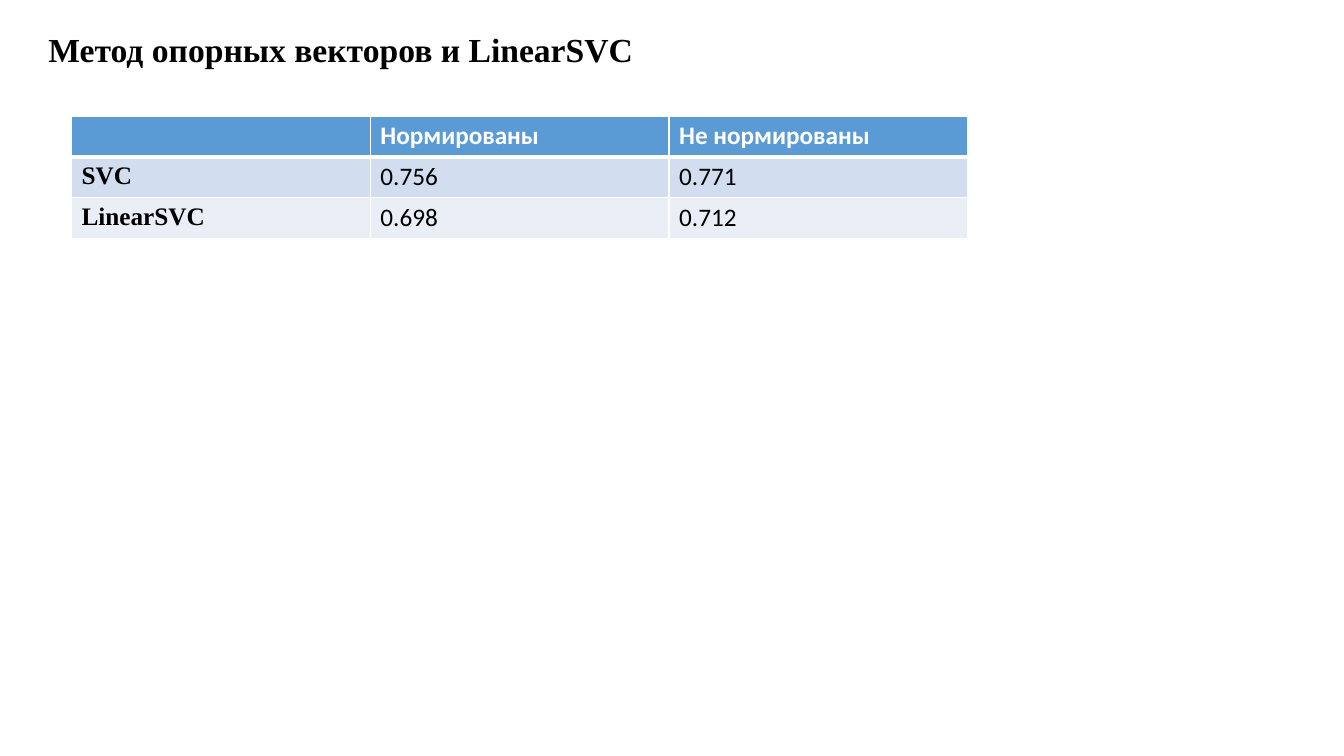
from lxml.etree import SubElement
from pptx import Presentation
from pptx.dml.color import RGBColor
from pptx.enum.text import MSO_ANCHOR, PP_ALIGN
from pptx.oxml.ns import qn
from pptx.util import Inches, Pt

SERIF, SANS = "Times New Roman", "Calibri"
ROW_FILLS = ["5B9BD5", "D2DEEF", "EAEFF7"]
SCORES = [
    ["", "Нормированы", "Не нормированы"],
    ["SVC", "0.756", "0.771"],
    ["LinearSVC", "0.698", "0.712"],
]


def color(value):
    """Turn a hex string into a colour."""
    return RGBColor.from_string(value)


def add_span(para, text, size, font, ink, bold):
    """Add one formatted run to a paragraph."""
    span = para.add_run()
    span.text = text
    span.font.size = Pt(size)
    span.font.name = font
    span.font.bold = bold
    span.font.color.rgb = color(ink)


def add_borders(cell, top, bottom):
    """Draw white borders; top and bottom widths are in points."""
    properties = cell._tc.get_or_add_tcPr()
    for tag, width in (("lnL", 1), ("lnR", 1), ("lnT", top), ("lnB", bottom)):
        line = SubElement(properties, qn(f"a:{tag}"), w=str(Pt(width)))
        fill = SubElement(line, qn("a:solidFill"))
        SubElement(fill, qn("a:srgbClr"), val="FFFFFF")


def place_title(page, left, top, width, height):
    """Place the heading in the upper part of its box."""
    title = page.shapes.title
    title.left, title.top = Inches(left), Inches(top)
    title.width, title.height = Inches(width), Inches(height)
    frame = title.text_frame
    frame.word_wrap = True
    frame.vertical_anchor = MSO_ANCHOR.MIDDLE
    frame.margin_bottom = Inches(0.45)
    para = frame.paragraphs[0]
    para.alignment = PP_ALIGN.LEFT
    para.line_spacing = 0.9
    add_span(para, "Метод опорных векторов и LinearSVC", 24, SERIF, "000000", True)


def place_scores(page, left, top, width, height):
    """Fill the box with the score table, in equal rows and columns."""
    table = page.shapes.add_table(
        len(SCORES), len(SCORES[0]),
        Inches(left), Inches(top), Inches(width), Inches(height),
    ).table
    for row, values in enumerate(SCORES):
        header = row == 0
        for column, text in enumerate(values):
            cell = table.cell(row, column)
            add_borders(cell, 3 if row == 1 else 1, 3 if header else 1)
            cell.fill.solid()
            cell.fill.fore_color.rgb = color(ROW_FILLS[row])
            if text:
                label = column == 0
                add_span(cell.text_frame.paragraphs[0], text, 18,
                         SERIF if label else SANS,
                         "FFFFFF" if header else "000000", header or label)


deck = Presentation()
deck.slide_width, deck.slide_height = Inches(13.33), Inches(7.5)
page = deck.slides.add_slide(deck.slide_layouts.get_by_name("Title Only"))
place_title(page, 0.38, 0.21, 11.4, 1)
place_scores(page, 0.71, 1.15, 8.89, 1.22)
deck.save("out.pptx")
